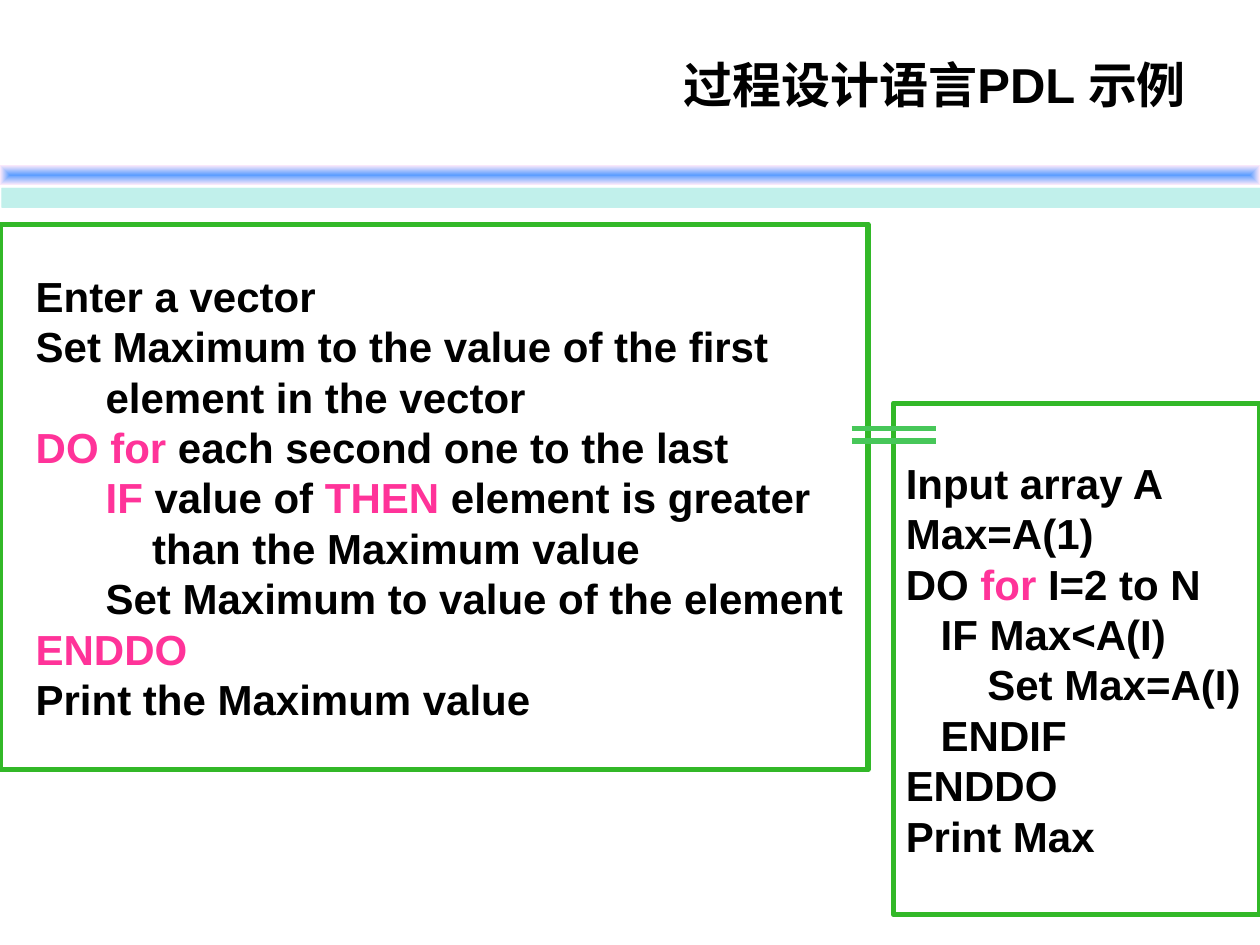
from pptx import Presentation
from pptx.dml.color import RGBColor
from pptx.enum.shapes import MSO_CONNECTOR, MSO_SHAPE
from pptx.enum.text import MSO_ANCHOR, MSO_AUTO_SIZE, PP_ALIGN
from pptx.oxml import parse_xml
from pptx.oxml.ns import nsdecls, qn
from pptx.util import Cm, Pt
from lxml.etree import SubElement

THEME = {
    "font": "Arial", "title": 28, "body": 24, "line": 3,
    "text": "000000", "key": "FF3399", "paper": "FFFFFF",
    "frame": "32B828", "link": "47C759",
    "core": "5E9EFF", "edge": "FFEBFA", "shade": "84E2D9",
}
TITLE = "过程设计语言PDL 示例"
# Each line: indent in steps, then plain and keyword parts in turn.
DRAFT = [
    (2, "Enter a vector"),
    (2, "Set Maximum to the value of the first"),
    (8, "element in the vector"),
    (2, "", "DO for", " each second one to the last"),
    (8, "", "IF", " value of ", "THEN", " element is greater"),
    (12, "than the Maximum value"),
    (8, "Set Maximum to value of the element"),
    (2, "", "ENDDO"),
    (2, "Print the Maximum value"),
]
REFINED = [
    (0, "Input array A"),
    (0, "Max=A(1)"),
    (0, "DO ", "for", " I=2 to N"),
    (3, "IF Max<A(I)"),
    (7, "Set Max=A(I)"),
    (3, "ENDIF"),
    (0, "ENDDO"),
    (0, "Print Max"),
]
STEP = 0.235  # cm, one indent step
LINK_X, LINK_Y, LINK_W, LINK_GAP = 17.17, 8.64, 1.7, 0.25


def color(name):
    return RGBColor.from_string(THEME[name])


def style(font, size, tint="text"):
    font.name, font.size, font.bold = THEME["font"], Pt(THEME[size]), True
    font.color.rgb = color(tint)


def add_title(slide):
    title = slide.shapes.title
    title.left, title.top, title.width, title.height = Cm(1.3), Cm(0.97), Cm(22.86), Cm(1.45)
    frame = title.text_frame
    frame.text = TITLE
    frame.auto_size = MSO_AUTO_SIZE.NONE
    frame.vertical_anchor = MSO_ANCHOR.MIDDLE
    para = frame.paragraphs[0]
    para.alignment = PP_ALIGN.RIGHT
    style(para.runs[0].font, "title")


def add_bar(slide):
    """Draw the glowing rule under the title with its offset shadow."""
    bar = slide.shapes.add_shape(MSO_SHAPE.RECTANGLE, 0, Cm(3.33), Cm(25.4), Cm(0.4))
    bar.line.fill.background()
    props = bar._element.spPr
    stops = "".join(
        f'<a:gs pos="{pos}"><a:srgbClr val="{THEME[name]}"/></a:gs>'
        for pos, name in ((0, "core"), (100000, "edge")))
    props.find(qn("a:prstGeom")).addnext(parse_xml(
        f'<a:gradFill {nsdecls("a")} rotWithShape="0"><a:gsLst>{stops}</a:gsLst>'
        '<a:path path="rect"><a:fillToRect l="50000" t="50000" r="50000" b="50000"/>'
        '</a:path></a:gradFill>'))
    props.append(parse_xml(
        f'<a:effectLst {nsdecls("a")}><a:outerShdw dist="{Pt(13)}" dir="5160000" '
        f'algn="ctr" rotWithShape="0"><a:srgbClr val="{THEME["shade"]}">'
        '<a:alpha val="50000"/></a:srgbClr></a:outerShdw></a:effectLst>'))


def add_code(shapes, lines, left, top, width, height, fill=None):
    box = shapes.add_shape(MSO_SHAPE.RECTANGLE, Cm(left), Cm(top), Cm(width), Cm(height))
    box.shadow.inherit = False
    box.line.color.rgb, box.line.width = color("frame"), Pt(THEME["line"])
    if fill:
        box.fill.solid()
        box.fill.fore_color.rgb = color(fill)
    else:
        box.fill.background()
    frame = box.text_frame
    frame.word_wrap = True
    frame.vertical_anchor = MSO_ANCHOR.MIDDLE
    for row, (steps, *parts) in enumerate(lines):
        para = frame.add_paragraph() if row else frame.paragraphs[0]
        para.alignment = PP_ALIGN.LEFT
        para._p.get_or_add_pPr().set("marL", str(Cm(steps * STEP)))
        for turn, part in enumerate(parts):
            if part:
                run = para.add_run()
                run.text = part
                style(run.font, "body", "key" if turn % 2 else "text")


def add_link(shapes, y):
    link = shapes.add_connector(
        MSO_CONNECTOR.STRAIGHT, Cm(LINK_X), Cm(y), Cm(LINK_X + LINK_W), Cm(y))
    link.line.color.rgb, link.line.width = color("link"), Pt(THEME["line"])
    SubElement(link._element.spPr, qn("a:effectLst"))


def main():
    deck = Presentation()
    deck.slide_width, deck.slide_height = Cm(25.4), Cm(19.05)
    slide = deck.slides.add_slide(deck.slide_layouts[5])
    add_title(slide)
    add_bar(slide)
    add_code(slide.shapes, DRAFT, 0, 4.52, 17.5, 11)
    group = slide.shapes.add_group_shape()
    add_code(group.shapes, REFINED, 18.01, 8.13, 7.39, 10.31, "paper")
    for row in range(2):
        add_link(group.shapes, LINK_Y + row * LINK_GAP)
    deck.save("out.pptx")


if __name__ == "__main__":
    main()
